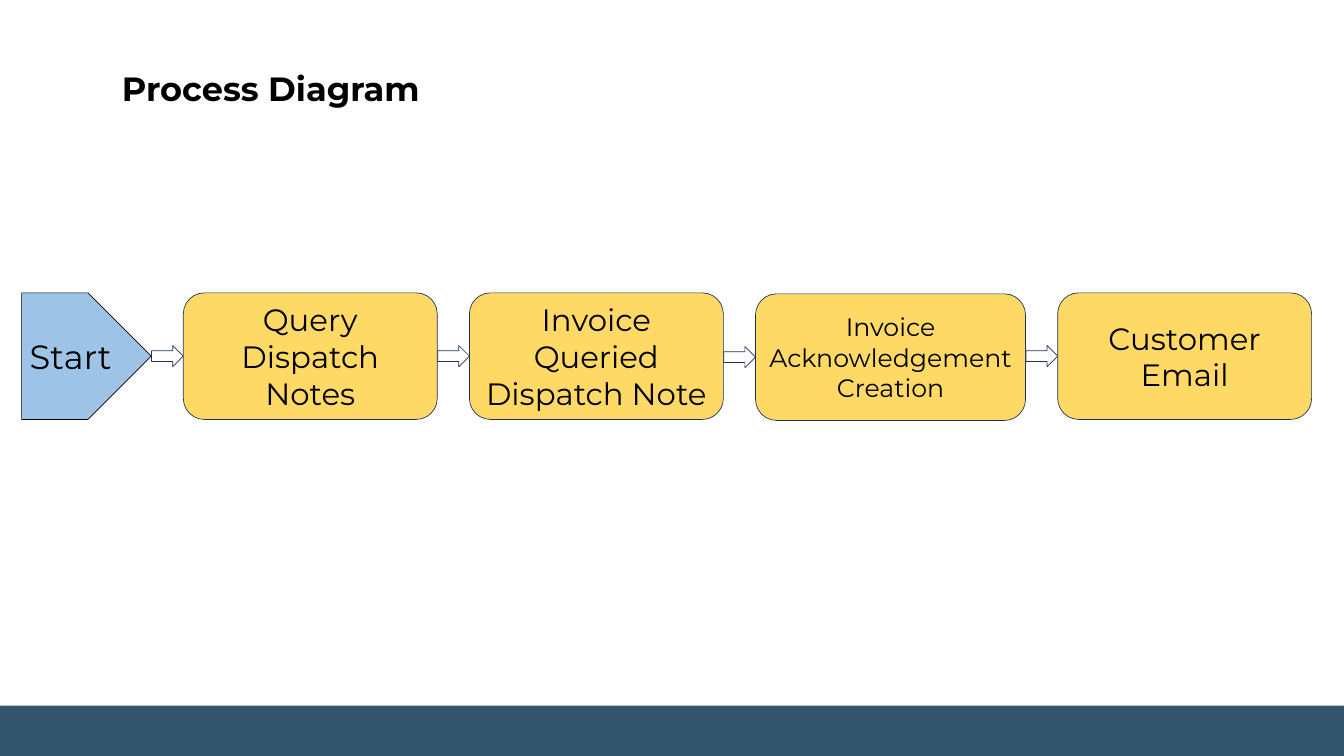
"""Build a process diagram slide: a start marker and four steps joined by arrows."""
from dataclasses import dataclass

from pptx import Presentation
from pptx.dml.color import RGBColor
from pptx.enum.shapes import MSO_SHAPE
from pptx.enum.text import MSO_ANCHOR, PP_ALIGN
from pptx.shapes.autoshape import Shape
from pptx.slide import Slide
from pptx.text.text import Font
from pptx.util import Cm, Pt

RECTANGLE = MSO_SHAPE.RECTANGLE
PENTAGON = MSO_SHAPE.PENTAGON
ROUNDED = MSO_SHAPE.ROUNDED_RECTANGLE
ARROW = MSO_SHAPE.RIGHT_ARROW
MIDDLE = MSO_ANCHOR.MIDDLE
TOP = MSO_ANCHOR.TOP
CENTER = PP_ALIGN.CENTER


@dataclass(frozen=True)
class Theme:
    font: str = "Montserrat"
    ink: str = "000000"
    paper: str = "FFFFFF"
    footer: str = "33556E"
    start: str = "9DC3E6"
    step: str = "FFD966"
    outline: str = "1E3256"
    large: int = 48
    medium: int = 44
    small: int = 36


@dataclass(frozen=True)
class Stage:
    label: str
    width: float = 12.8
    size: int = Theme.medium
    kind: MSO_SHAPE = ROUNDED
    fill: str = Theme.step
    outline: str = Theme.outline
    drop: float = 0


THEME = Theme()
SLIDE_WIDTH, SLIDE_HEIGHT = 67.74, 38.1
FOOTER_HEIGHT = 2.54
ROW_LEFT, ROW_TOP, ROW_HEIGHT = 1.09, 14.76, 6.38
GAP = 1.62
ARROW_WIDTH, ARROW_HEIGHT = 1.6, 1.07

STAGES = (
    Stage("Start", 6.53, THEME.large, PENTAGON, THEME.start, THEME.ink),
    Stage("Query Dispatch Notes"),
    Stage("Invoice Queried Dispatch Note"),
    Stage("Invoice Acknowledgement Creation", 13.61, THEME.small, drop=0.05),
    Stage("Customer Email"),
)


def style_font(font: Font, size: int, bold: bool = False) -> None:
    font.name = THEME.font
    font.size = Pt(size)
    font.bold = bold
    font.color.rgb = RGBColor.from_string(THEME.ink)


def add_block(slide: Slide, kind: MSO_SHAPE, left: float, top: float, width: float,
              height: float, fill: str, outline: str | None = None) -> Shape:
    block = slide.shapes.add_shape(kind, Cm(left), Cm(top), Cm(width), Cm(height))
    block.shadow.inherit = False
    block.fill.solid()
    block.fill.fore_color.rgb = RGBColor.from_string(fill)
    if outline is None:
        block.line.fill.background()
    else:
        block.line.color.rgb = RGBColor.from_string(outline)
        block.line.width = Pt(1)
    return block


def add_title(slide: Slide, wording: str) -> None:
    title = slide.shapes.add_textbox(Cm(5.89), Cm(3.53), Cm(30.78), Cm(2.24))
    frame = title.text_frame
    frame.word_wrap = True
    frame.vertical_anchor = TOP
    frame.text = wording
    heading = frame.paragraphs[0]
    heading.line_spacing = 0.9
    style_font(heading.runs[0].font, THEME.large, bold=True)


def add_stage(slide: Slide, stage: Stage, left: float) -> None:
    block = add_block(slide, stage.kind, left, ROW_TOP + stage.drop, stage.width,
                      ROW_HEIGHT, stage.fill, stage.outline)
    frame = block.text_frame
    frame.word_wrap = True
    frame.vertical_anchor = MIDDLE
    frame.text = stage.label
    label = frame.paragraphs[0]
    label.alignment = CENTER
    style_font(label.runs[0].font, stage.size)


def add_process(slide: Slide, stages: tuple[Stage, ...]) -> None:
    left = ROW_LEFT
    for index, stage in enumerate(stages):
        if index:
            arrow_top = ROW_TOP + stage.drop + (ROW_HEIGHT - ARROW_HEIGHT) / 2
            add_block(slide, ARROW, left - ARROW_WIDTH, arrow_top, ARROW_WIDTH,
                      ARROW_HEIGHT, THEME.paper, THEME.outline)
        add_stage(slide, stage, left)
        left += stage.width + GAP


def main() -> None:
    presentation = Presentation()
    presentation.slide_width = Cm(SLIDE_WIDTH)
    presentation.slide_height = Cm(SLIDE_HEIGHT)
    slide = presentation.slides.add_slide(presentation.slide_layouts[6])
    add_block(slide, RECTANGLE, 0, SLIDE_HEIGHT - FOOTER_HEIGHT, SLIDE_WIDTH,
              FOOTER_HEIGHT, THEME.footer)
    add_title(slide, "Process Diagram")
    add_process(slide, STAGES)
    presentation.save("out.pptx")


if __name__ == "__main__":
    main()
